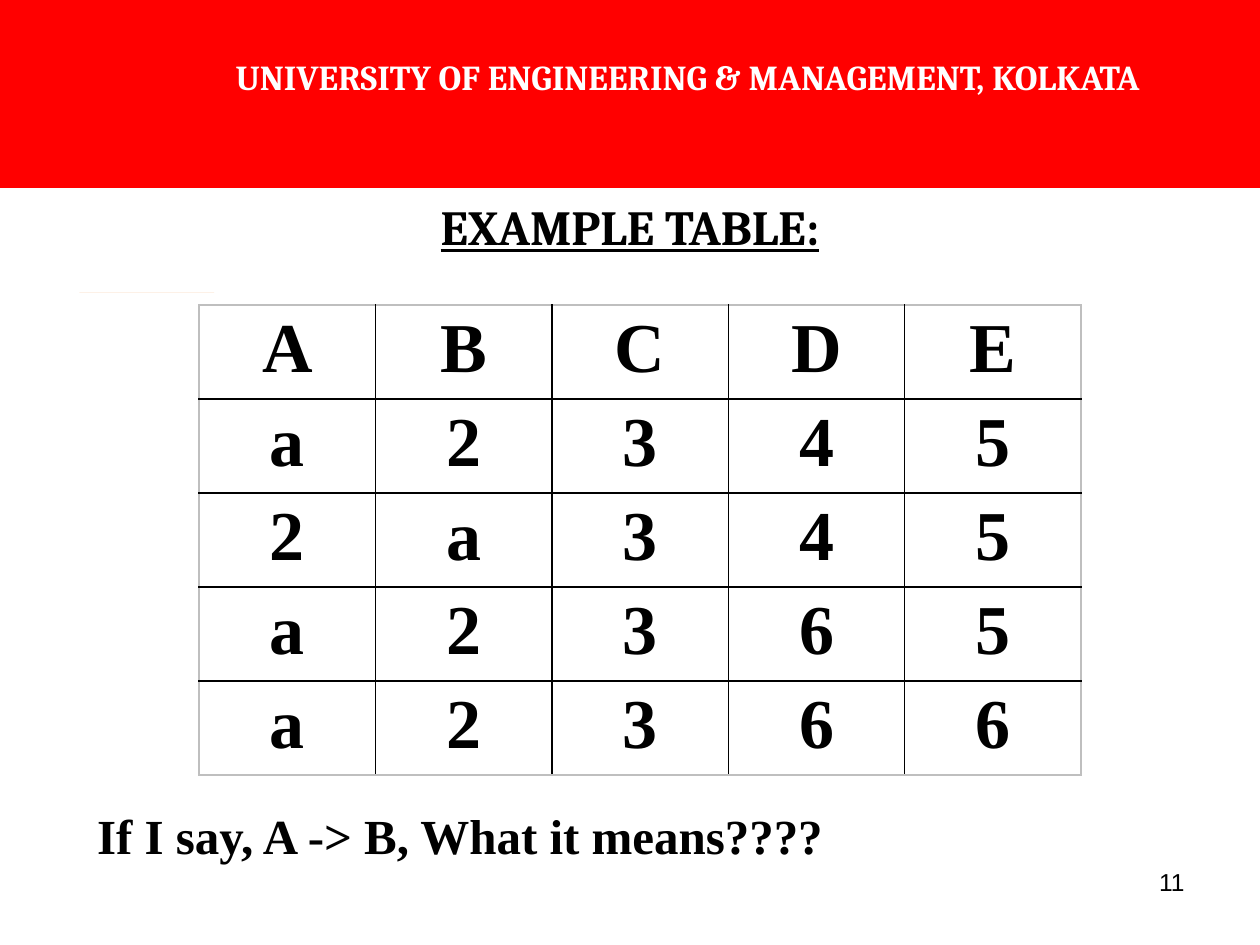
from lxml.etree import SubElement
from pptx import Presentation
from pptx.dml.color import RGBColor
from pptx.enum.shapes import MSO_SHAPE
from pptx.enum.text import MSO_ANCHOR, MSO_AUTO_SIZE, PP_ALIGN
from pptx.oxml.ns import qn
from pptx.util import Inches, Pt

COLORS = {"banner": "FF0000", "white": "FFFFFF", "ink": "000000",
          "edge": "BFBFBF", "accent": "F79646"}
HEADER_COLUMNS = [1.17, 8.58, 0.25]
HEADER_ROWS = [0.42, 0.57, 0.5]
HEADER_MERGES = [((0, 0), (0, 1)), ((1, 0), (2, 0)), ((2, 1), (2, 2))]
EXAMPLE_ROWS = ["ABCDE", "a2345", "2a345", "a2365", "a2366"]
COLUMN_WIDTH, ROW_HEIGHT = 1.4, 0.65


def color(name):
    return RGBColor.from_string(COLORS[name])


def write(text_frame, text, size, font_name, color_name="ink",
          alignment=PP_ALIGN.CENTER, bold=True):
    paragraph = text_frame.paragraphs[0]
    paragraph.text = text
    paragraph.alignment = alignment
    font = paragraph.font
    font.size, font.name, font.bold = Pt(size), font_name, bold
    font.color.rgb = color(color_name)
    return paragraph


def set_borders(cell, names):
    properties = cell._tc.get_or_add_tcPr()
    for side, name in zip("LRTB", names):
        line = SubElement(properties, qn(f"a:ln{side}"), w=str(Pt(1)))
        fill = SubElement(line, qn("a:solidFill"))
        SubElement(fill, qn("a:srgbClr"), val=COLORS[name])


def add_plain_table(slide, left, top, columns, rows):
    table = slide.shapes.add_table(
        len(rows), len(columns), Inches(left), Inches(top),
        Inches(sum(columns)), Inches(sum(rows))).table
    table.first_row = table.horz_banding = False
    for column, width in zip(table.columns, columns):
        column.width = Inches(width)
    for row, height in zip(table.rows, rows):
        row.height = Inches(height)
    return table


def add_header(slide):
    table = add_plain_table(slide, 0, 0, HEADER_COLUMNS, HEADER_ROWS)
    for cell in table.iter_cells():
        set_borders(cell, ["banner"] * 4)
        cell.fill.solid()
        cell.fill.fore_color.rgb = color("banner")
    for first, last in HEADER_MERGES:
        table.cell(*first).merge(table.cell(*last))
    write(table.cell(1, 1).text_frame,
          "UNIVERSITY OF ENGINEERING & MANAGEMENT, KOLKATA",
          20, "Cambria", "white")


def add_example_table(slide):
    count = len(EXAMPLE_ROWS)
    table = add_plain_table(slide, 1.58, 2.42, [COLUMN_WIDTH] * count,
                            [ROW_HEIGHT] * count)
    for row, values in enumerate(EXAMPLE_ROWS):
        for column, value in enumerate(values):
            cell = table.cell(row, column)
            outer = (column == 0, column == count - 1,
                     row == 0, row == count - 1)
            set_borders(cell, ["edge" if side else "ink" for side in outer])
            cell.fill.background()
            cell.margin_top = cell.margin_bottom = Inches(0.04)
            write(cell.text_frame, value, 40, "Times New Roman")


def place(shape, left, top, width, height):
    shape.left, shape.top = Inches(left), Inches(top)
    shape.width, shape.height = Inches(width), Inches(height)
    shape.text_frame.word_wrap = True
    shape.text_frame.auto_size = MSO_AUTO_SIZE.NONE
    shape.text_frame.vertical_anchor = MSO_ANCHOR.MIDDLE


def fill_placeholders(slide):
    title, question = slide.placeholders
    place(title, 0.5, 1.17, 9, 1.25)
    heading = write(title.text_frame, "EXAMPLE TABLE:", 28, "Cambria")
    heading.font.underline = True
    place(question, 0.67, 6, 9, 1.25)
    properties = question.text_frame.paragraphs[0]._p.get_or_add_pPr()
    properties.set("marL", "0")
    properties.set("indent", "0")
    SubElement(properties, qn("a:buNone"))
    paragraph = write(question.text_frame, "If I say, A -> B, What it means????",
                      28, "Times New Roman", alignment=PP_ALIGN.LEFT)
    paragraph.space_before = Pt(0)


def add_accent_line(slide):
    shape = slide.shapes.add_shape(MSO_SHAPE.RECTANGLE, Inches(0.63),
                                   Inches(2.32), Inches(1.07), 0)
    shape.shadow.inherit = False
    shape.fill.solid()
    shape.fill.fore_color.rgb = color("accent")
    shape.line.fill.background()


def add_page_number(slide):
    box = slide.shapes.add_textbox(Inches(7.17), Inches(6.83),
                                   Inches(2.33), Inches(0.52))
    box.text_frame.word_wrap = True
    write(box.text_frame, "11", 14, "Arial",
          alignment=PP_ALIGN.RIGHT, bold=False)


def main():
    """Build the example table slide and save it."""
    presentation = Presentation()
    presentation.slide_width, presentation.slide_height = Inches(10), Inches(7.5)
    slide = presentation.slides.add_slide(presentation.slide_layouts[1])
    add_accent_line(slide)
    add_header(slide)
    add_page_number(slide)
    add_example_table(slide)
    fill_placeholders(slide)
    presentation.save("out.pptx")


if __name__ == "__main__":
    main()
